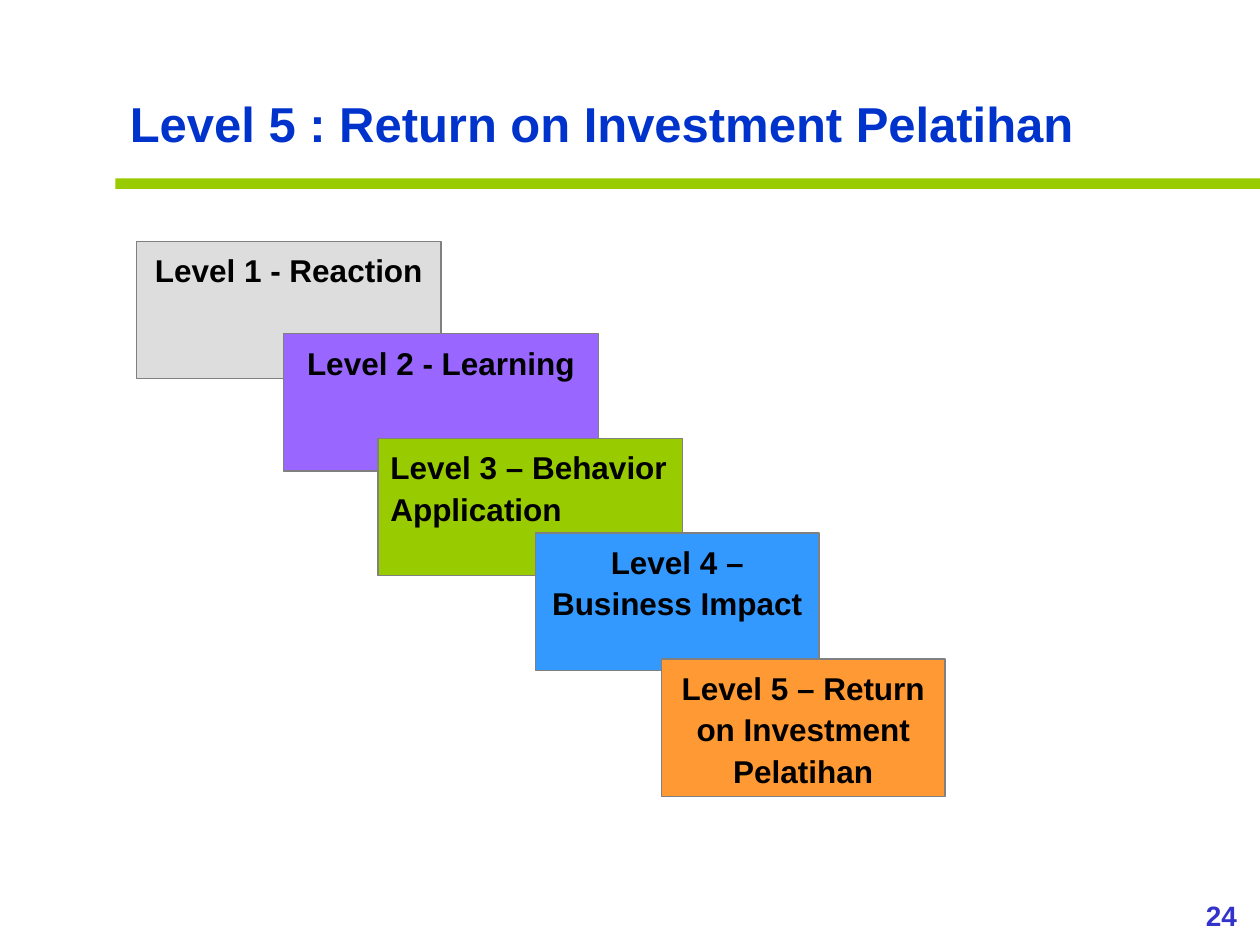
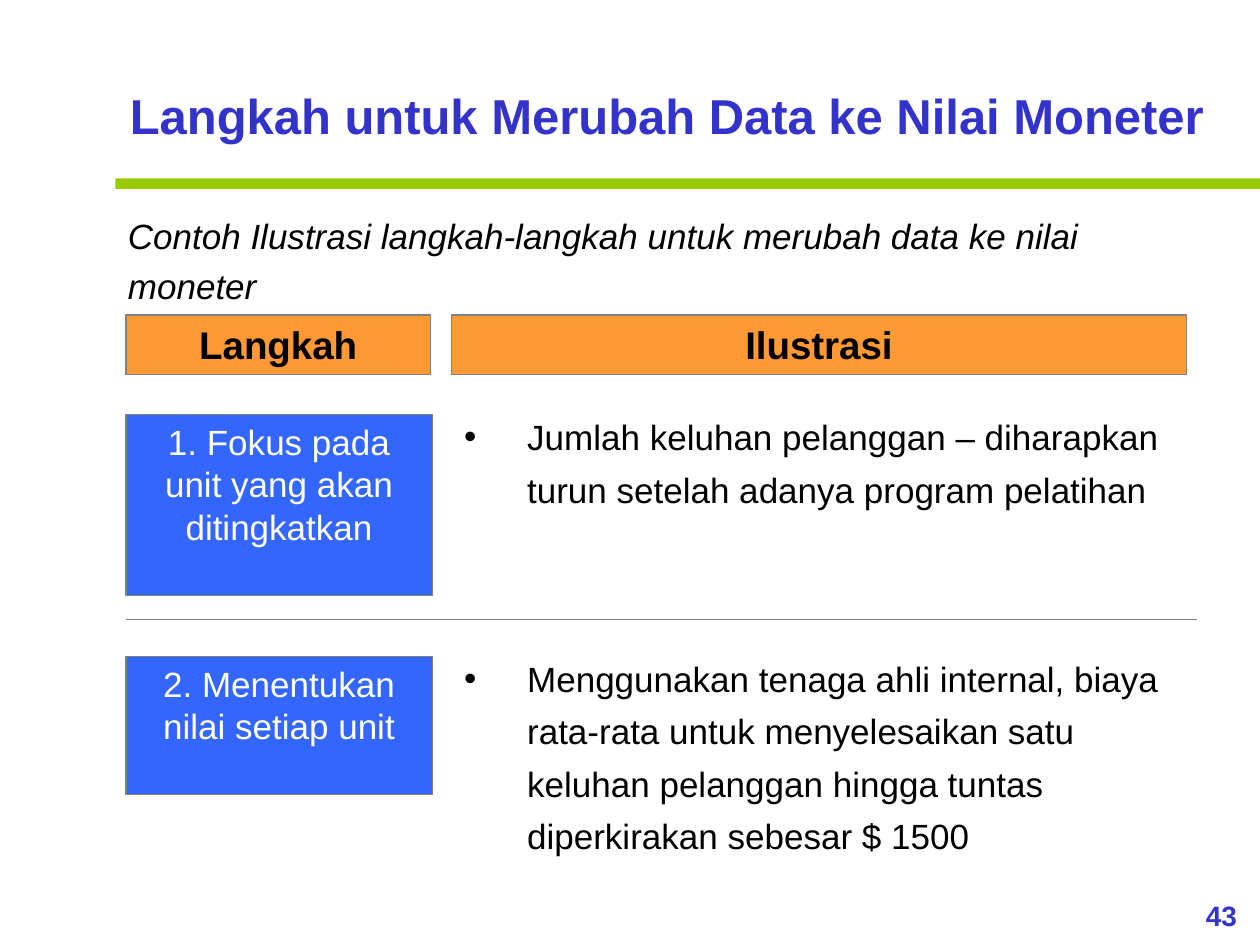
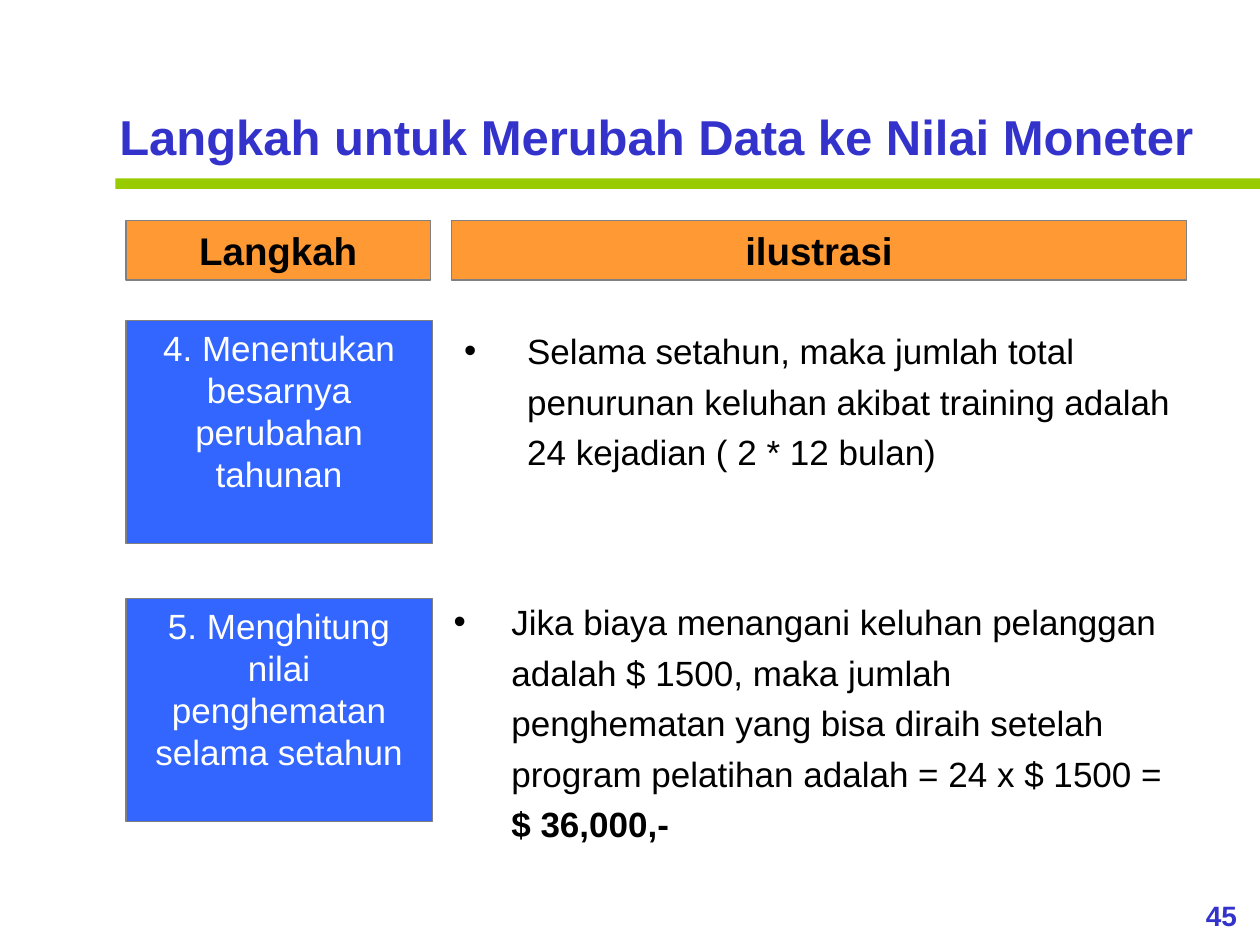
from lxml.etree import SubElement
from pptx import Presentation
from pptx.dml.color import RGBColor
from pptx.enum.shapes import MSO_CONNECTOR, MSO_SHAPE
from pptx.enum.text import MSO_ANCHOR, MSO_AUTO_SIZE, PP_ALIGN
from pptx.oxml.ns import qn
from pptx.util import Pt

FONT = "Arial"
INDIGO, BLUE, GREEN, ORANGE = "3333CC", "3366FF", "99CC00", "FF9933"
BLACK, WHITE, GREY = "000000", "FFFFFF", "808080"
TITLE_ONLY, TWO_CONTENT = 5, 3
STEP_LEFT, NOTE_LEFT = 72, 258


def rgb(hex_color):
    return RGBColor.from_string(hex_color)


def place(shape, box):
    shape.left, shape.top, shape.width, shape.height = map(Pt, box)


def write(shape, text, size=20, color=BLACK, bold=False, italic=False,
          align=PP_ALIGN.LEFT, spacing=1.0, hanging=0, bold_end=""):
    """Fill a shape with one paragraph; bold_end follows the text in bold."""
    frame = shape.text_frame
    frame.word_wrap = True
    frame.auto_size = MSO_AUTO_SIZE.NONE
    frame.vertical_anchor = MSO_ANCHOR.TOP
    paragraph = frame.paragraphs[0]
    paragraph.alignment = align
    paragraph.line_spacing = spacing
    paragraph.space_before = Pt(0)
    if hanging:
        properties = paragraph._p.get_or_add_pPr()
        properties.set("marL", str(Pt(hanging)))
        properties.set("indent", str(-Pt(hanging)))
    for words, is_bold in ((text, bold), (bold_end, True)):
        if words:
            run = paragraph.add_run()
            run.text = words
            run.font.name, run.font.size = FONT, Pt(size)
            run.font.bold, run.font.italic = is_bold, italic
            run.font.color.rgb = rgb(color)


def add_panel(slide, box, fill, outline=GREY):
    panel = slide.shapes.add_shape(MSO_SHAPE.RECTANGLE, *map(Pt, box))
    panel.shadow.inherit = False
    panel.fill.solid()
    panel.fill.fore_color.rgb = rgb(fill)
    if outline:
        panel.line.color.rgb = rgb(outline)
        panel.line.width = Pt(0.75)
    else:
        panel.line.fill.background()
    return panel


def add_divider(slide, left, right, y):
    divider = slide.shapes.add_connector(
        MSO_CONNECTOR.STRAIGHT, Pt(left), Pt(y), Pt(right), Pt(y))
    divider.line.color.rgb = rgb(GREY)
    divider.line.width = Pt(0.75)
    SubElement(divider._element.spPr, qn("a:effectLst"))


def start_slide(deck, layout, number, title, title_box, color=INDIGO, spacing=1.1):
    """Add a slide with its title, green rule and page number."""
    slide = deck.slides.add_slide(deck.slide_layouts[layout])
    place(slide.shapes.title, title_box)
    write(slide.shapes.title, title, size=28, color=color, bold=True, spacing=spacing)
    add_panel(slide, (66, 102, 654, 6), GREEN, outline=None)
    page = slide.shapes.add_textbox(Pt(676), Pt(510), Pt(44), Pt(26.5))
    write(page, number, size=16, color=INDIGO, bold=True, align=PP_ALIGN.CENTER)
    return slide


def add_level_cascade(slide, left, top):
    levels = (
        ("Level 1 - Reaction", "DDDDDD", 0, 0, 174, PP_ALIGN.CENTER),
        ("Level 2 - Learning", "9966FF", 84, 52.7, 180, PP_ALIGN.CENTER),
        ("Level 3 – Behavior Application", GREEN, 138, 112.5, 174, PP_ALIGN.LEFT),
        ("Level 4 – Business Impact", "3399FF", 228, 166.5, 162, PP_ALIGN.CENTER),
        ("Level 5 – Return on Investment Pelatihan", ORANGE, 300, 238.5, 162,
         PP_ALIGN.CENTER),
    )
    for name, fill, dx, dy, width, align in levels:
        level = add_panel(slide, (left + dx, top + dy, width, 78.5), fill)
        write(level, name, size=18, bold=True, align=align, spacing=1.1)


def add_column_heads(slide, top, *heads):
    for head, left, width in zip(heads, (STEP_LEFT, NOTE_LEFT), (174, 420)):
        panel = add_panel(slide, (left, top, width, 34), ORANGE)
        write(panel, head, size=22, bold=True, align=PP_ALIGN.CENTER)


def add_step(slide, top, height, step, note_index, note, note_box, **note_format):
    """Blue step panel with its bulleted note; note_box is relative to the panel."""
    panel = add_panel(slide, (STEP_LEFT, top, 175, height), BLUE)
    write(panel, step, color=WHITE, align=PP_ALIGN.CENTER)
    dx, dy, note_width, note_height = note_box
    body = slide.placeholders[note_index]
    place(body, (STEP_LEFT + dx, top + dy, note_width, note_height))
    write(body, note, **note_format)


def build_levels(deck):
    slide = start_slide(deck, TITLE_ONLY, "24", "Level 5 : Return on Investment Pelatihan",
                        (67, 50, 560, 41), color="0033CC", spacing=1.0)
    add_level_cascade(slide, 78, 138)


def build_first_steps(deck, title):
    slide = start_slide(deck, TWO_CONTENT, "43", title, (67, 42, 640, 44.5))
    intro = slide.shapes.add_textbox(Pt(66), Pt(114), Pt(625), Pt(65))
    write(intro, "Contoh Ilustrasi langkah-langkah untuk merubah data ke nilai moneter",
          italic=True, spacing=1.2)
    add_column_heads(slide, 180, "Langkah", "Ilustrasi")
    add_step(slide, 237, 103.5, "1. Fokus pada unit yang akan ditingkatkan", 1,
             "Jumlah keluhan pelanggan – diharapkan turun setelah adanya program pelatihan",
             (186, -9, 426, 68), spacing=1.25, hanging=36)
    add_divider(slide, STEP_LEFT, 684, 354)
    add_step(slide, 375, 79, "2. Menentukan nilai setiap unit", 2,
             "Menggunakan tenaga ahli internal, biaya rata-rata untuk menyelesaikan satu "
             "keluhan pelanggan hingga tuntas diperkirakan sebesar $ 1500",
             (186, -9, 420, 127.5), spacing=1.25, hanging=36)


def build_last_steps(deck, title):
    slide = start_slide(deck, TWO_CONTENT, "45", title, (61, 54, 640, 44.5))
    add_column_heads(slide, 126, "Langkah", "ilustrasi")
    add_step(slide, 183, 127.5, "4. Menentukan besarnya perubahan tahunan", 1,
             "Selama setahun, maka jumlah total penurunan keluhan akibat training adalah "
             "24 kejadian ( 2 * 12 bulan)",
             (186, -3, 420, 93.5), spacing=1.2, hanging=36)
    add_step(slide, 342, 127.5, "5. Menghitung nilai penghematan selama setahun", 2,
             "Jika biaya menangani keluhan pelanggan adalah $ 1500, maka jumlah "
             "penghematan yang bisa diraih setelah program pelatihan adalah = 24 x $ 1500 = ",
             (180, -7, 426, 151), spacing=1.2, hanging=33, bold_end="$ 36,000,-")


def main():
    deck = Presentation()
    deck.slide_width, deck.slide_height = Pt(720), Pt(540)
    steps_title = "Langkah untuk Merubah Data ke Nilai Moneter"
    build_levels(deck)
    build_first_steps(deck, steps_title)
    build_last_steps(deck, steps_title)
    deck.save("out.pptx")


if __name__ == "__main__":
    main()
